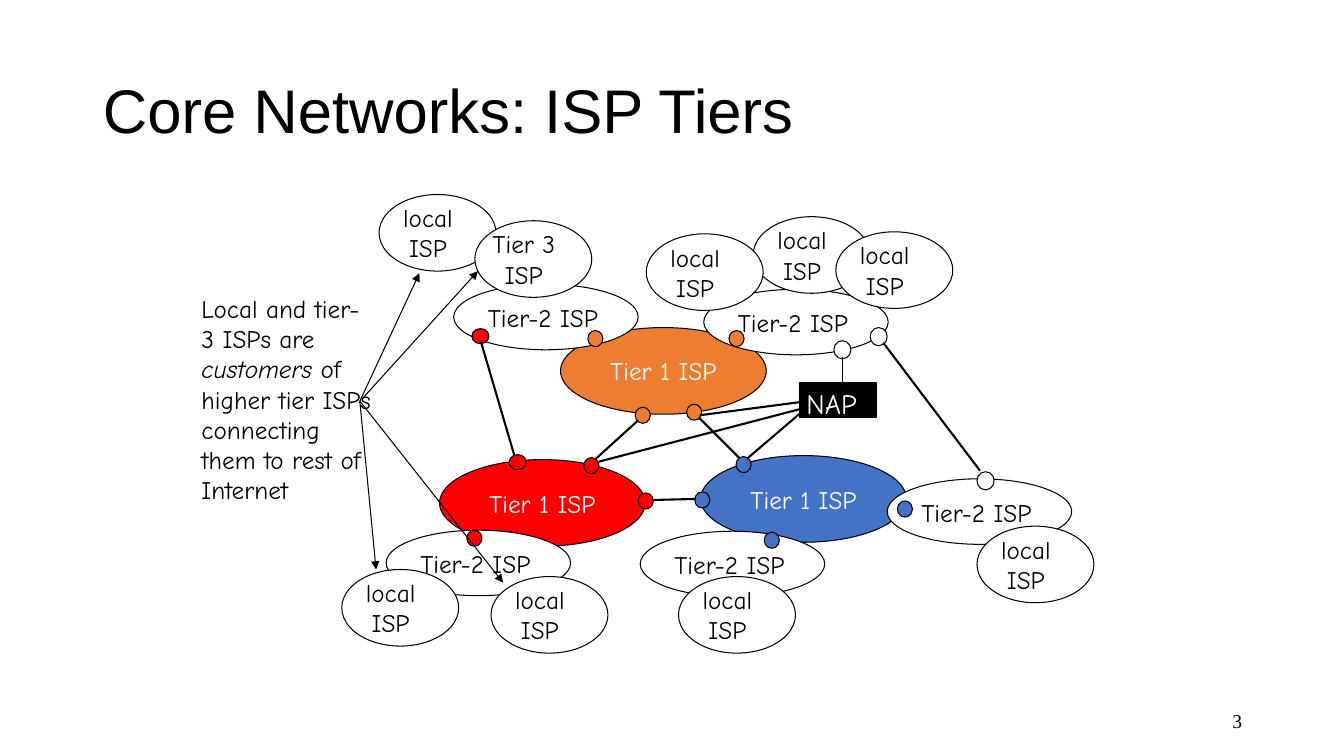
import pptx
import pptx.dml.color
import pptx.enum.shapes
import pptx.enum.text
import pptx.oxml
import pptx.oxml.ns
import pptx.util

PX = 9144
COLORS = {"black": "000000", "white": "FFFFFF", "red": "FF0000",
          "orange": "ED7D31", "blue": "4472C4"}
SHAPES = pptx.enum.shapes.MSO_SHAPE
ALIGN = pptx.enum.text.PP_ALIGN
ANCHOR = pptx.enum.text.MSO_ANCHOR
HAND = "Comic Neue"
DOT = (15, 16)
RED_DOT = (17, 15)
WHITE_DOT = (17, 18)


def emu(*lengths):
    """Turn px lengths into EMU."""
    return [pptx.util.Emu(length * PX) for length in lengths]


def color(name):
    """Return a named colour."""
    return pptx.dml.color.RGBColor.from_string(COLORS[name])


def shift(box, left, top, width, height):
    """Return a part's box measured from the corner of its region."""
    return box[0] + left, box[1] + top, width, height


def write(frame, paragraphs, size=18, font=HAND, ink="black",
          align=ALIGN.LEFT, anchor=ANCHOR.TOP, wrap=False):
    """Fill a text frame with paragraphs of (text, italic) spans."""
    frame.word_wrap = wrap
    frame.vertical_anchor = anchor
    for index, spans in enumerate(paragraphs):
        para = frame.add_paragraph() if index else frame.paragraphs[0]
        para.alignment = align
        for text, italic in spans:
            span = para.add_run()
            span.text = text
            span.font.name = font
            span.font.size = pptx.util.Pt(size)
            span.font.italic = italic
            span.font.color.rgb = color(ink)


def add_label(page, box, lines, **style):
    """Place a text box with one plain span per line."""
    label = page.shapes.add_textbox(*emu(*box))
    write(label.text_frame, [[(line, False)] for line in lines], **style)


def add_shape(page, box, fill, kind=SHAPES.OVAL):
    """Place a filled shape with a thin black outline."""
    shape = page.shapes.add_shape(kind, *emu(*box))
    shape.shadow.inherit = False
    shape.fill.solid()
    shape.fill.fore_color.rgb = color(fill)
    shape.line.color.rgb = color("black")
    shape.line.width = pptx.util.Pt(0.75)
    return shape


def add_line(page, box, ends, width=1.5, arrow=False):
    """Join two points measured from the corner of a region."""
    x1, y1, x2, y2 = ends
    points = emu(box[0] + x1, box[1] + y1, box[0] + x2, box[1] + y2)
    line = page.shapes.add_connector(
        pptx.enum.shapes.MSO_CONNECTOR.STRAIGHT, *points)
    line.line.color.rgb = color("black")
    line.line.width = pptx.util.Pt(width)
    if arrow:
        head = pptx.oxml.parse_xml(
            f'<a:tailEnd {pptx.oxml.ns.nsdecls("a")} type="triangle"/>')
        line.line._get_or_add_ln().append(head)
    effects = pptx.oxml.parse_xml(
        f'<a:effectLst {pptx.oxml.ns.nsdecls("a")}/>')
    line._element.spPr.append(effects)


def add_title(page, box):
    """Format the title placeholder."""
    title = page.shapes.title
    title.left, title.top, title.width, title.height = emu(*box)
    write(title.text_frame, [[("Core Networks: ISP Tiers", False)]], size=44,
          font="Arial", anchor=ANCHOR.MIDDLE, wrap=True)
    title.text_frame.paragraphs[0].line_spacing = 0.9


def add_tier_one(page, box):
    """Place the tier 1 providers, their peering links and the NAP."""
    for left, top, fill in ((136, 356, "red"), (256, 225, "orange"),
                            (395, 352, "blue")):
        isp = add_shape(page, shift(box, left, top, 204, 86), fill)
        write(isp.text_frame, [[("Tier 1 ISP", False)]], ink="white",
              align=ALIGN.CENTER, anchor=ANCHOR.MIDDLE)
    for left, top, fill in ((430, 353, "blue"), (381, 301, "orange"),
                            (330, 304, "orange"), (279, 354, "red"),
                            (333, 389, "red"), (389, 388, "blue")):
        add_shape(page, shift(box, left, top, *DOT), fill)
    for ends in ((348, 396, 390, 395), (393, 314, 433, 354),
                 (290, 356, 333, 317)):
        add_line(page, box, ends)
    add_shape(page, shift(box, 493, 280, 76, 34), "black", SHAPES.RECTANGLE)
    add_label(page, shift(box, 490, 279, 77, 43), ["NAP"], size=20,
              ink="white")
    for ends in ((496, 308, 441, 355), (493, 299, 394, 312),
                 (493, 306, 294, 358)):
        add_line(page, box, ends)


def add_tier_two(page, box):
    """Place the tier 2 providers and their uplinks."""
    for left, top, dot_left, dot_top, fill in (
            (398, 187, 423, 228, "orange"), (150, 182, 283, 228, "orange"),
            (83, 426, 163, 426, "red"), (335, 427, 458, 428, "blue"),
            (580, 375, 590, 397, "blue")):
        add_shape(page, shift(box, left, top, 183, 65), "white")
        add_label(page, shift(box, left + 24, top + 13, 147, 40),
                  ["Tier-2 ISP"])
        add_shape(page, shift(box, dot_left, dot_top, *DOT), fill)
    add_shape(page, shift(box, 168, 226, *RED_DOT), "red")
    add_line(page, box, (177, 239, 212, 358))
    add_shape(page, shift(box, 205, 351, *RED_DOT), "red")
    for left, top in ((563, 225), (669, 368), (527, 238)):
        add_shape(page, shift(box, left, top, *WHITE_DOT), "white")
    add_line(page, box, (576, 240, 672, 367))
    add_line(page, box, (536, 254, 536, 281), width=0.75)


def add_customers(page, box):
    """Place the local and tier 3 providers."""
    for left, top, name in (
            (447, 115, "local"), (341, 132, "local"), (529, 130, "local"),
            (39, 465, "local"), (76, 93, "local"), (171, 119, "Tier 3"),
            (187, 472, "local"), (373, 472, "local"), (669, 422, "local")):
        add_shape(page, shift(box, left, top, 116, 76), "white")
        inset, width = (12, 73) if name == "local" else (2, 93)
        add_label(page, shift(box, left + inset, top + 3, width, 70),
                  [name, "ISP"], align=ALIGN.CENTER)


def add_note(page, box):
    """Place the remark on customers with its arrows."""
    note = page.shapes.add_textbox(*emu(*box))
    write(note.text_frame, [
        [("Local and tier- 3 ISPs are ", False), ("customers", True),
         (" of", False)],
        [("higher tier ISPs", False)],
        [("connecting them to rest of Internet", False)]], wrap=True)
    for ends in ((166, 114, 226, -15), (169, 110, 284, -17),
                 (167, 113, 183, 279), (167, 112, 309, 292)):
        add_line(page, box, ends, width=0.75, arrow=True)


def main():
    """Build and save the deck."""
    deck = pptx.Presentation()
    deck.slide_width, deck.slide_height = emu(1333, 750)
    page = deck.slides.add_slide(deck.slide_layouts[5])
    diagram = (300, 100, 800, 600)
    add_tier_one(page, diagram)
    add_tier_two(page, diagram)
    add_customers(page, diagram)
    add_note(page, (190, 286, 197, 250))
    add_label(page, (942, 695, 300, 40), ["3"], size=14,
              font="Times New Roman", align=ALIGN.RIGHT,
              anchor=ANCHOR.MIDDLE, wrap=True)
    add_title(page, (92, 40, 1150, 145))
    deck.save("out.pptx")


if __name__ == "__main__":
    main()
